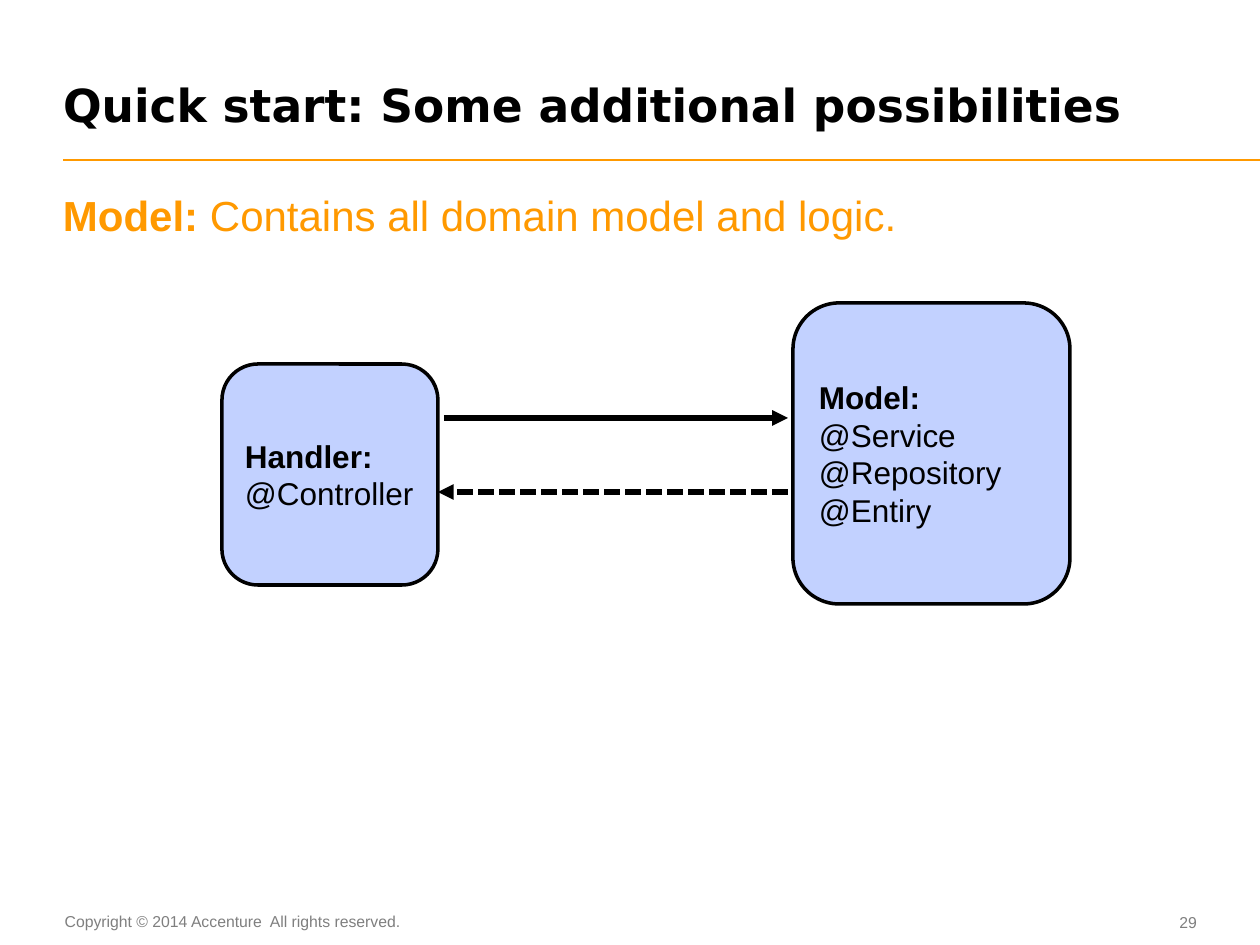
from lxml import etree
from pptx import Presentation
from pptx import util as u
from pptx.dml.color import RGBColor
from pptx.enum import dml, shapes, text
from pptx.oxml.ns import qn

PX = 914400 / 126
LEFT, CENTER, RIGHT = text.PP_ALIGN.LEFT, text.PP_ALIGN.CENTER, text.PP_ALIGN.RIGHT
TOP, MIDDLE, BOTTOM = text.MSO_ANCHOR.TOP, text.MSO_ANCHOR.MIDDLE, text.MSO_ANCHOR.BOTTOM


def px(*lengths):
    return [u.Emu(round(length * PX)) for length in lengths]


def color(code):
    return RGBColor.from_string(code)


deck = Presentation()
deck.slide_width, deck.slide_height = px(1260, 945)
page = deck.slides.add_slide(deck.slide_layouts[6])

# Title, statement and footer: place, anchor, alignment, insets, font, size, runs
GRAY, ORANGE, BLACK = "7F7F7F", "FF9900", "000000"
texts = [
    ((62, 906, 354, 32), TOP, CENTER, (0, 6, 13, 6), "Arial", 9, GRAY,
     [("Copyright © 2014 Accenture  All rights reserved.", False)]),
    ((1123, 905, 74, 34), MIDDLE, RIGHT, (0, 0, 0, 0), "Arial", 9, GRAY,
     [("29", False)]),
    ((63, 24, 1130, 108), BOTTOM, LEFT, (0, 0, 0, 0), "DejaVu Sans", 26, BLACK,
     [("Quick start: Some additional possibilities", True)]),
    ((63, 190, 1134, 665), TOP, LEFT, (0, 0, 0, 0), "Arial", 24, ORANGE,
     [("Model:", True), (" Contains all domain model and logic.", False)]),
]
for place, anchor, align, insets, font, size, ink, runs in texts:
    frame = page.shapes.add_textbox(*px(*place)).text_frame
    frame.word_wrap = True
    frame.vertical_anchor = anchor
    (frame.margin_left, frame.margin_top,
     frame.margin_right, frame.margin_bottom) = px(*insets)
    para = frame.paragraphs[0]
    para.alignment = align
    if size == 26:
        para.line_spacing = u.Pt(size)
    for words, bold in runs:
        span = para.add_run()
        span.text = words
        span.font.name, span.font.size, span.font.bold = font, u.Pt(size), bold
        span.font.color.rgb = color(ink)

# Title rule and the two arrows: start, end, colour, width, dash, arrowhead
lines = [
    ((63, 160), (1260, 160), ORANGE, 1, None, False),
    ((788, 492), (438, 492), BLACK, 3, dml.MSO_LINE.SQUARE_DOT, True),
    ((444, 418), (788, 418), BLACK, 3, None, True),
]
for start, end, ink, width, dash, arrow in lines:
    line = page.shapes.add_connector(
        shapes.MSO_CONNECTOR.STRAIGHT, *px(*start, *end))
    line.line.color.rgb = color(ink)
    line.line.width = u.Pt(width)
    if dash:
        line.line.dash_style = dash
    if arrow:
        etree.SubElement(line.line._get_or_add_ln(), qn("a:tailEnd"), type="triangle")
    etree.SubElement(line._element.spPr, qn("a:effectLst"))

# Handler and model boxes
boxes = [
    ((222, 364, 216, 221), "Handler:\v@Controller"),
    ((793, 303, 277, 301), "Model:\v@Service\v@Repository\v@Entiry"),
]
for place, words in boxes:
    box = page.shapes.add_shape(shapes.MSO_SHAPE.ROUNDED_RECTANGLE, *px(*place))
    box.shadow.inherit = False
    box.fill.solid()
    box.fill.fore_color.rgb = color("C2D1FF")
    box.line.color.rgb = color(BLACK)
    box.line.width = u.Pt(2)
    box.text_frame.word_wrap = True
    box.text_frame.vertical_anchor = MIDDLE
    para = box.text_frame.paragraphs[0]
    para.text = words
    para.alignment = LEFT
    for index, span in enumerate(para.runs):
        span.font.name, span.font.size, span.font.bold = "Arial", u.Pt(18), index == 0
        span.font.color.rgb = color(BLACK)

deck.save("out.pptx")
